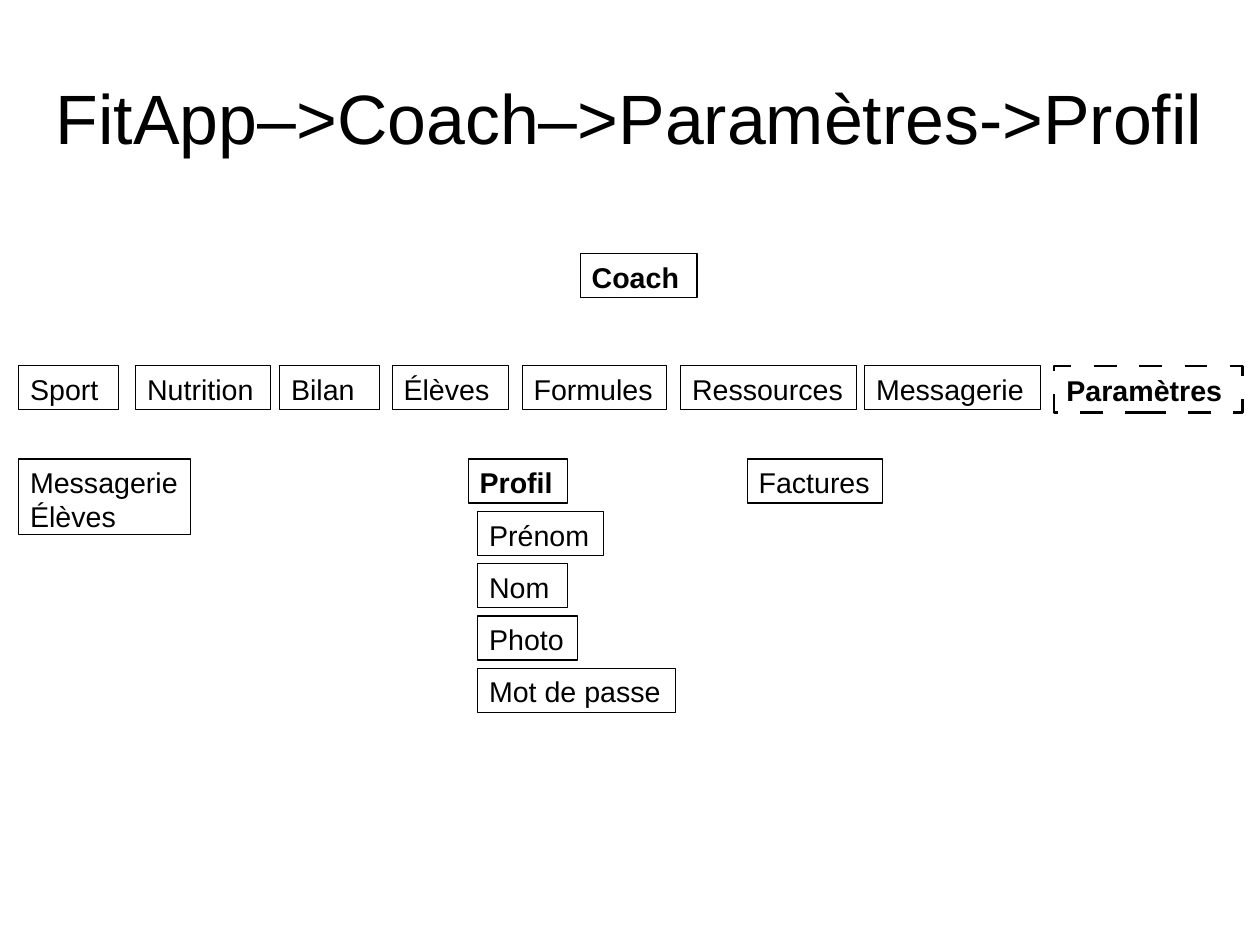
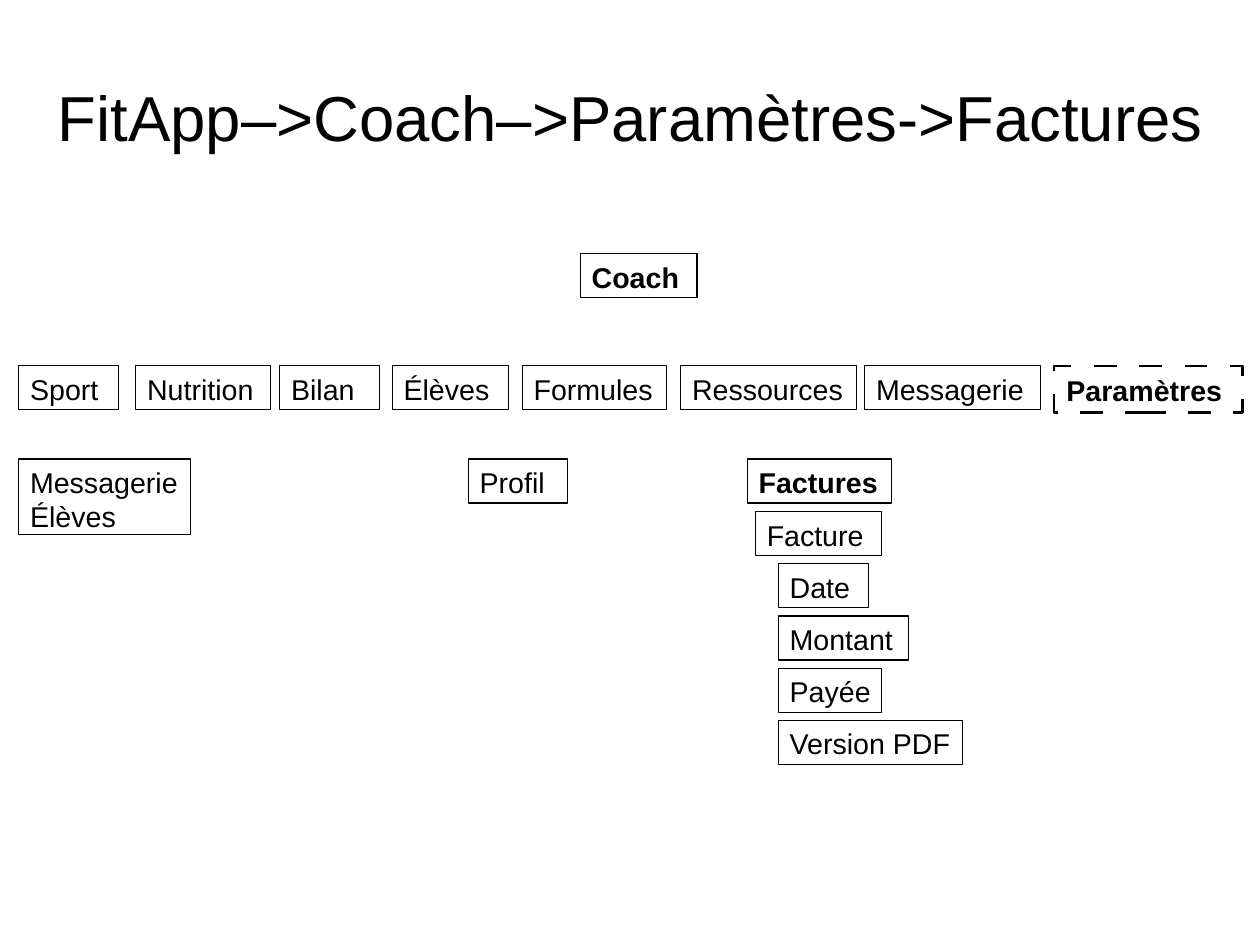
from lxml import etree
from pptx import Presentation
from pptx.dml.color import RGBColor
from pptx.enum.shapes import MSO_SHAPE
from pptx.enum.text import MSO_ANCHOR, MSO_AUTO_SIZE, PP_ALIGN
from pptx.oxml.ns import qn
from pptx.util import Cm, Pt

RECT = MSO_SHAPE.RECTANGLE
TOP, MIDDLE = MSO_ANCHOR.TOP, MSO_ANCHOR.MIDDLE
LEFT, CENTER = PP_ALIGN.LEFT, PP_ALIGN.CENTER
NO_AUTOFIT = MSO_AUTO_SIZE.NONE

BLACK = RGBColor(0x00, 0x00, 0x00)
FONT = "Arial"
TEXT_SIZE = 18

# Lengths in centimetres
BOX_H = 0.98
MENU_Y = 8.13
SUBMENU_Y = 10.2
FIELDS_Y, FIELD_STEP = 11.37, 1.16

# Label, left, width
MENU = [
    ("Sport", 0.42, 2.21),
    ("Nutrition", 3.02, 3),
    ("Bilan", 6.22, 2.21),
    ("Élèves", 8.72, 2.59),
    ("Formules", 11.61, 3.2),
    ("Ressources", 15.13, 3.91),
    ("Messagerie", 19.22, 3.91),
]

SLIDES = [
    {
        "title": "FitApp–>Coach–>Paramètres->Profil",
        "title_size": 44,
        "active": "Profil",
        "submenu": [("Profil", 10.41, 2.2), ("Factures", 16.61, 3)],
        "fields": [
            ("Prénom", 10.62, 2.8),
            ("Nom", 10.62, 2),
            ("Photo", 10.62, 2.21),
            ("Mot de passe", 10.62, 4.4),
        ],
    },
    {
        "title": "FitApp–>Coach–>Paramètres->Factures",
        "title_size": 40,
        "active": "Factures",
        "submenu": [("Profil", 10.41, 2.2), ("Factures", 16.61, 3.2)],
        "fields": [
            ("Facture", 16.79, 2.8),
            ("Date", 17.3, 2),
            ("Montant", 17.3, 2.9),
            ("Payée", 17.3, 2.3),
            ("Version PDF", 17.3, 4.1),
        ],
    },
]


def style_text(tf, size, align, bold=False):
    for p in tf.paragraphs:
        p.alignment = align
        for r in p.runs:
            r.font.name = FONT
            r.font.size = Pt(size)
            r.font.bold = bold
            r.font.color.rgb = BLACK


def set_insets(tf, left, top, right=0, bottom=0):
    tf.margin_left, tf.margin_top = Cm(left), Cm(top)
    tf.margin_right, tf.margin_bottom = Cm(right), Cm(bottom)


def add_box(slide, label, x, y, w, h=BOX_H, bold=False, line=0, inset=(0.25, 0.13)):
    sp = slide.shapes.add_shape(RECT, Cm(x), Cm(y), Cm(w), Cm(h))
    sp.shadow.inherit = False
    sp.fill.background()
    sp.line.color.rgb = BLACK
    sp.line.width = Pt(line)
    tf = sp.text_frame
    tf.text = label
    tf.word_wrap = True
    tf.auto_size = NO_AUTOFIT
    tf.vertical_anchor = TOP
    set_insets(tf, *inset)
    style_text(tf, TEXT_SIZE, LEFT, bold)
    return sp


def dash_outline(sp):
    """Give the outline dashes and gaps of 9.5 line widths."""
    dash = etree.SubElement(sp.line.fill._xPr, qn("a:custDash"))
    etree.SubElement(dash, qn("a:ds"), d="950000", sp="950000")


def format_layout_title(layout):
    title = next(ph for ph in layout.placeholders if ph.placeholder_format.idx == 0)
    title.left, title.top = Cm(0.2), Cm(0.84)
    title.width, title.height = Cm(27.6), Cm(3.5)
    tf = title.text_frame
    tf.vertical_anchor = MIDDLE
    tf.auto_size = NO_AUTOFIT
    set_insets(tf, 0, 0)


def build_slide(prs, layout, content):
    slide = prs.slides.add_slide(layout)
    tf = slide.shapes.title.text_frame
    tf.text = content["title"]
    style_text(tf, content["title_size"], CENTER)

    add_box(slide, "Coach", 12.9, 5.64, 2.59, bold=True)
    for label, x, w in MENU:
        add_box(slide, label, x, MENU_Y, w)
    settings = add_box(slide, "Paramètres", 23.42, MENU_Y, 4.19, 1.04,
                       bold=True, line=1.5, inset=(0.28, 0.15))
    dash_outline(settings)

    add_box(slide, "Messagerie\vÉlèves", 0.42, SUBMENU_Y, 3.81, 1.68)
    for label, x, w in content["submenu"]:
        add_box(slide, label, x, SUBMENU_Y, w, bold=label == content["active"])
    for i, (label, x, w) in enumerate(content["fields"]):
        add_box(slide, label, x, FIELDS_Y + i * FIELD_STEP, w)


def main():
    prs = Presentation()
    prs.slide_width, prs.slide_height = Cm(28), Cm(21)
    layout = prs.slide_layouts.get_by_name("Title Only")
    format_layout_title(layout)
    for content in SLIDES:
        build_slide(prs, layout, content)
    prs.save("out.pptx")


if __name__ == "__main__":
    main()
